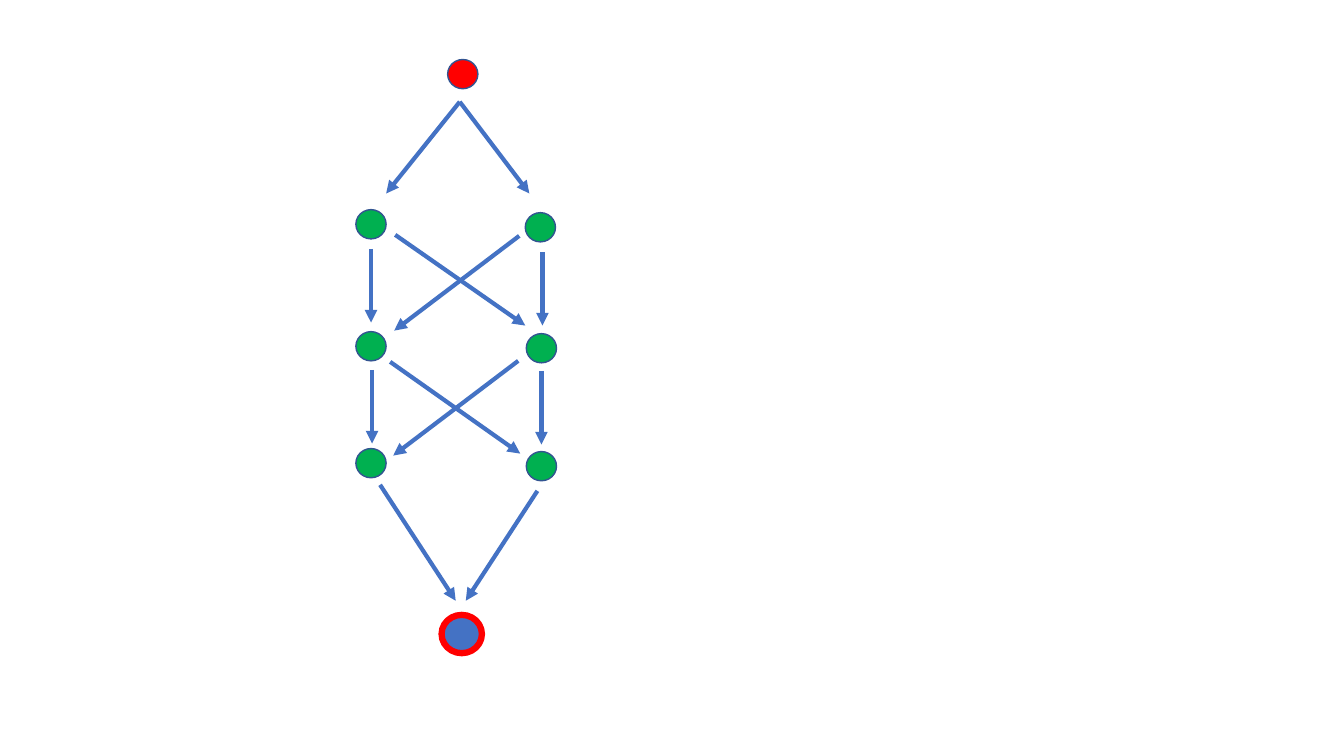
"""Builds a slide with a layered graph of nodes joined by arrows."""
from lxml.etree import SubElement
from pptx import Presentation
from pptx.dml.color import RGBColor
from pptx.enum.shapes import MSO_CONNECTOR, MSO_SHAPE
from pptx.oxml.ns import qn
from pptx.util import Inches, Pt

BLUE = RGBColor(0x44, 0x72, 0xC4)
NAVY = RGBColor(0x32, 0x54, 0x91)
GREEN = RGBColor(0x00, 0xB0, 0x50)
RED = RGBColor(0xFF, 0x00, 0x00)

prs = Presentation()
prs.slide_width, prs.slide_height = Inches(13.33), Inches(7.5)
s = prs.slides.add_slide(prs.slide_layouts[6])


def add_node(x, y, fill, w=0.3, h=0.29, outline=NAVY, weight=1):
    sp = s.shapes.add_shape(MSO_SHAPE.OVAL, Inches(x), Inches(y), Inches(w), Inches(h))
    sp.shadow.inherit = False
    sp.fill.solid()
    sp.fill.fore_color.rgb = fill
    sp.line.color.rgb = outline
    sp.line.width = Pt(weight)


add_node(4.44, 0.59, RED)
for x, y in [(3.53, 2.08), (5.21, 2.11), (3.53, 3.29),
             (5.22, 3.31), (3.53, 4.45), (5.22, 4.48)]:
    add_node(x, y, GREEN)
add_node(4.38, 6.1, BLUE, 0.4, 0.38, RED, 4.5)

arrows = [
    (4.56, 1.01, 3.83, 1.92), (4.56, 1.01, 5.25, 1.92),
    (3.68, 2.47, 3.68, 3.2), (5.38, 2.5, 5.38, 3.23),
    (3.92, 2.33, 5.21, 3.23), (5.15, 2.34, 3.91, 3.28),
    (3.69, 3.67, 3.69, 4.4), (5.37, 3.68, 5.37, 4.41),
    (3.87, 3.59, 5.16, 4.5), (5.14, 3.58, 3.9, 4.52),
    (3.77, 4.81, 4.52, 5.96), (5.33, 4.87, 4.62, 5.96),
]
for arrow in arrows:
    cn = s.shapes.add_connector(MSO_CONNECTOR.STRAIGHT, *[Inches(v) for v in arrow])
    cn.line.color.rgb = BLUE
    cn.line.width = Pt(3)
    SubElement(cn.line._get_or_add_ln(), qn("a:tailEnd"), type="triangle")
    SubElement(cn._element.spPr, qn("a:effectLst"))

prs.save("out.pptx")
